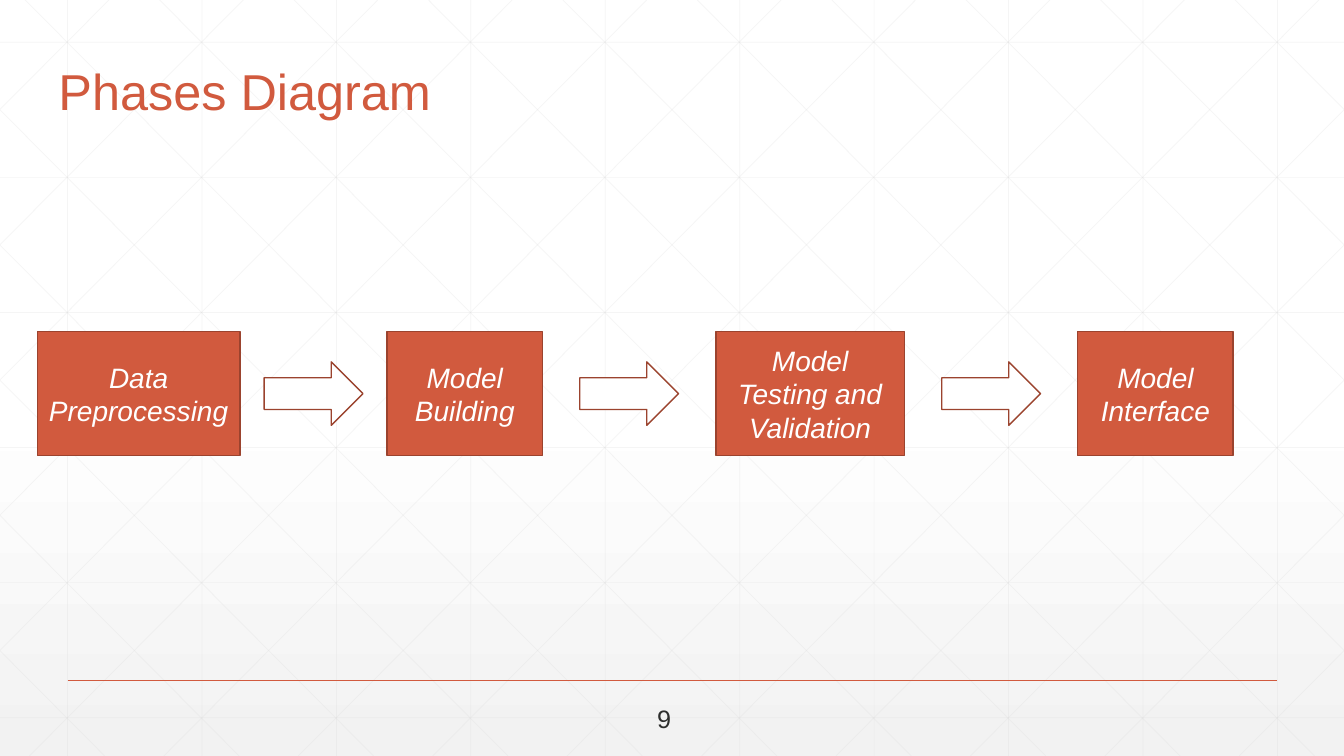
"""Build the Phases Diagram slide."""
from dataclasses import dataclass

from lxml import etree
from pptx import Presentation
from pptx import util as u
from pptx.dml import color as dml
from pptx.enum import shapes, text
from pptx.oxml import ns


@dataclass(frozen=True)
class Theme:
    """Colours, font and type sizes of the slide."""
    accent: str = "D15A3E"
    outline: str = "9B432E"
    grid: str = "D9D9D9"
    white: str = "FFFFFF"
    shade: str = "F2F2F2"
    ink: str = "2D2E2D"
    font: str = "Arial"
    title_size: int = 36
    phase_size: int = 20
    number_size: int = 18


THEME = Theme()
WIDTH, HEIGHT = 13.33, 7.5


def rgb(value):
    """Return a colour object for a hex value."""
    return dml.RGBColor.from_string(value)


def write(frame, words, size, color, align=text.PP_ALIGN.LEFT,
          anchor=text.MSO_ANCHOR.MIDDLE, italic=False, wrap=True, spacing=None):
    """Put one formatted paragraph into a text frame."""
    frame.word_wrap = wrap
    frame.vertical_anchor = anchor
    paragraph = frame.paragraphs[0]
    paragraph.alignment = align
    paragraph.line_spacing = spacing
    run = paragraph.add_run()
    run.text = words
    run.font.name = THEME.font
    run.font.size = u.Pt(size)
    run.font.italic = italic
    run.font.color.rgb = rgb(color)


def add_line(parent, start, end, color, width, opacity=None):
    """Draw a straight line, optionally see-through."""
    line = parent.add_connector(shapes.MSO_CONNECTOR.STRAIGHT,
                                *(u.Inches(v) for v in (*start, *end)))
    line.line.color.rgb = rgb(color)
    line.line.width = u.Pt(width)
    properties = line._element.spPr
    if opacity is not None:
        tint = properties.find(".//" + ns.qn("a:srgbClr"))
        etree.SubElement(tint, ns.qn("a:alpha"), val=str(opacity * 1000))
    etree.SubElement(properties, ns.qn("a:effectLst"))


def add_block(slide, kind, box, fill):
    """Draw an outlined preset shape in the given box."""
    block = slide.shapes.add_shape(kind, *(u.Inches(v) for v in box))
    block.shadow.inherit = False
    block.fill.solid()
    block.fill.fore_color.rgb = rgb(fill)
    block.line.color.rgb = rgb(THEME.outline)
    block.line.width = u.Pt(1)
    return block


def paint_background(slide):
    """Fade the background from white to light grey."""
    fill = slide.background.fill
    fill.gradient()
    fill.gradient_angle = 270
    for stop, position, color in zip(fill.gradient_stops, (0.53, 1),
                                     (THEME.white, THEME.shade)):
        stop.position = position
        stop.color.rgb = rgb(color)


def draw_grid(slide, width, height):
    """Cover the area with square and diagonal guide lines."""
    pitch, run = 4 / 3, 7.455
    slope = height / run
    segments = []
    for column in range(10):
        x = 0.67 + column * pitch
        segments.append(((x, 0), (x, height)))
    for row in range(6):
        y = 0.42 + row * 1.34
        segments.append(((0, y), (width, y)))
    for step in range(-5, 10):
        top = 0.25 + step * pitch
        left, right = max(top, 0), min(top + run, width)
        y1, y2 = (left - top) * slope, (right - top) * slope
        segments.append(((left, y1), (right, y2)))
        segments.append(((width - left, y1), (width - right, y2)))
    grid = slide.shapes.add_group_shape()
    for start, end in segments:
        add_line(grid.shapes, start, end, THEME.grid, 0.5, opacity=25)


def place_title(slide, words, box):
    """Move the title placeholder into its box, above the grid."""
    title = slide.shapes.title
    title.left, title.top, title.width, title.height = (u.Inches(v) for v in box)
    title.text_frame.auto_size = text.MSO_AUTO_SIZE.NONE
    title.text_frame.margin_bottom = u.Inches(0.57)
    write(title.text_frame, words, THEME.title_size, THEME.accent,
          anchor=text.MSO_ANCHOR.BOTTOM, spacing=0.9)
    slide.shapes._spTree.append(title._element)


def draw_phases(slide, left, top, height):
    """Chain the phase boxes, with an arrow centred in each gap."""
    phases = [("Data Preprocessing", 2.01, 0.24), ("Model Building", 1.54, 0.37),
              ("Model Testing and Validation", 1.87, 0.37),
              ("Model Interface", 1.54, None)]
    arrow_width, arrow_height = 0.98, 0.63
    arrow_top = top + (height - arrow_height) / 2
    for phase, width, gap in phases:
        block = add_block(slide, shapes.MSO_SHAPE.RECTANGLE,
                          (left, top, width, height), THEME.accent)
        write(block.text_frame, phase, THEME.phase_size, THEME.white,
              align=text.PP_ALIGN.CENTER, italic=True)
        if gap is not None:
            add_block(slide, shapes.MSO_SHAPE.RIGHT_ARROW,
                      (left + width + gap, arrow_top, arrow_width, arrow_height),
                      THEME.white)
            left += width + arrow_width + 2 * gap


def draw_footer(slide, left, top, width, page):
    """Draw the footer rule and the page number below it."""
    add_line(slide.shapes, (left, top), (left + width, top), THEME.accent, 1)
    number = slide.shapes.add_textbox(u.Inches(left + 5.75), u.Inches(top + 0.18),
                                      u.Inches(0.34), u.Inches(0.4))
    write(number.text_frame, page, THEME.number_size, THEME.ink,
          anchor=text.MSO_ANCHOR.TOP, wrap=False)


def main():
    """Build and save the presentation."""
    deck = Presentation()
    deck.slide_width, deck.slide_height = u.Inches(WIDTH), u.Inches(HEIGHT)
    slide = deck.slides.add_slide(deck.slide_layouts[5])
    paint_background(slide)
    draw_grid(slide, WIDTH, HEIGHT)
    place_title(slide, "Phases Diagram", (0.48, 0.53, 10.5, 1.25))
    draw_phases(slide, 0.37, 3.29, 1.23)
    draw_footer(slide, 0.67, 6.75, 12, "9")
    deck.save("out.pptx")


if __name__ == "__main__":
    main()
